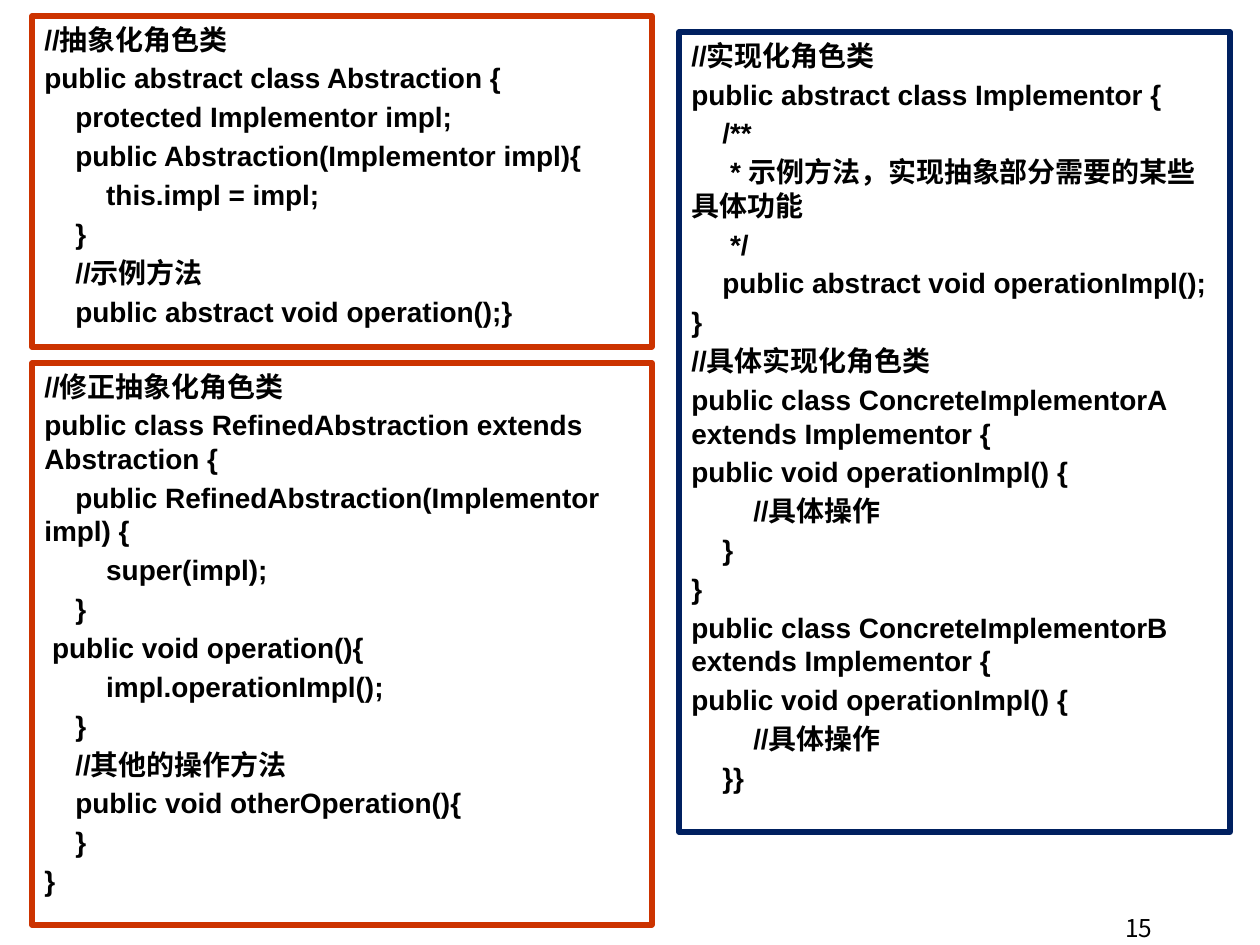
import pptx
import pptx.dml.color
import pptx.enum.shapes
import pptx.enum.text
import pptx.util

PX = 914400 // 126
RED, NAVY, BLACK = "CC3300", "002060", "000000"

BASE = """//抽象化角色类
public abstract class Abstraction {
    protected Implementor impl;
    public Abstraction(Implementor impl){
        this.impl = impl;
    }
    //示例方法
    public abstract void operation();}"""

REFINED = """//修正抽象化角色类
public class RefinedAbstraction extends Abstraction {
    public RefinedAbstraction(Implementor impl) {
        super(impl);
    }
 public void operation(){
        impl.operationImpl();
    }
    //其他的操作方法
    public void otherOperation(){
    }
}"""

IMPL = """//实现化角色类
public abstract class Implementor {
    /**
     * 示例方法，实现抽象部分需要的某些具体功能
     */
    public abstract void operationImpl();
}
//具体实现化角色类
public class ConcreteImplementorA extends Implementor {
public void operationImpl() {
        //具体操作
    }
}
public class ConcreteImplementorB extends Implementor {
public void operationImpl() {
        //具体操作
    }}"""


def color(code):
    return pptx.dml.color.RGBColor.from_string(code)


def place(*sizes):
    return [size * PX for size in sizes]


def style(par, face, size, bold, align):
    par.alignment = align
    for run in par.runs:
        run.font.name = face
        run.font.size = pptx.util.Pt(size)
        run.font.bold = bold
        run.font.color.rgb = color(BLACK)


def add_code(slide, area, edge, code):
    """Framed box with one paragraph per line of code."""
    box = slide.shapes.add_shape(
        pptx.enum.shapes.MSO_SHAPE.RECTANGLE, *place(*area))
    box.shadow.inherit = False
    box.fill.background()
    box.line.color.rgb = color(edge)
    box.line.width = pptx.util.Pt(3)
    frame = box.text_frame
    frame.word_wrap = True
    frame.auto_size = pptx.enum.text.MSO_AUTO_SIZE.SHAPE_TO_FIT_TEXT
    frame.vertical_anchor = pptx.enum.text.MSO_ANCHOR.TOP
    frame.text = code
    for i, par in enumerate(frame.paragraphs):
        par.space_before = pptx.util.Pt(3 if i else 0)
        style(par, "Arial", 16, True, pptx.enum.text.PP_ALIGN.LEFT)


def add_number(slide, area, text):
    frame = slide.shapes.add_textbox(*place(*area)).text_frame
    frame.word_wrap = True
    frame.vertical_anchor = pptx.enum.text.MSO_ANCHOR.MIDDLE
    frame.text = text
    style(frame.paragraphs[0], "Noto Sans CJK KR", 14, False,
          pptx.enum.text.PP_ALIGN.RIGHT)


def main():
    deck = pptx.Presentation()
    deck.slide_width, deck.slide_height = place(1260, 945)
    slide = deck.slides.add_slide(deck.slide_layouts[6])

    # Abstraction side on the left, implementor side on the right
    add_code(slide, (32, 16, 620, 331), RED, BASE)
    add_code(slide, (679, 32, 551, 800), NAVY, IMPL)
    add_code(slide, (32, 363, 620, 562), RED, REFINED)

    # Page number
    add_number(slide, (903, 910, 262, 35), "15")
    deck.save("out.pptx")


if __name__ == "__main__":
    main()
